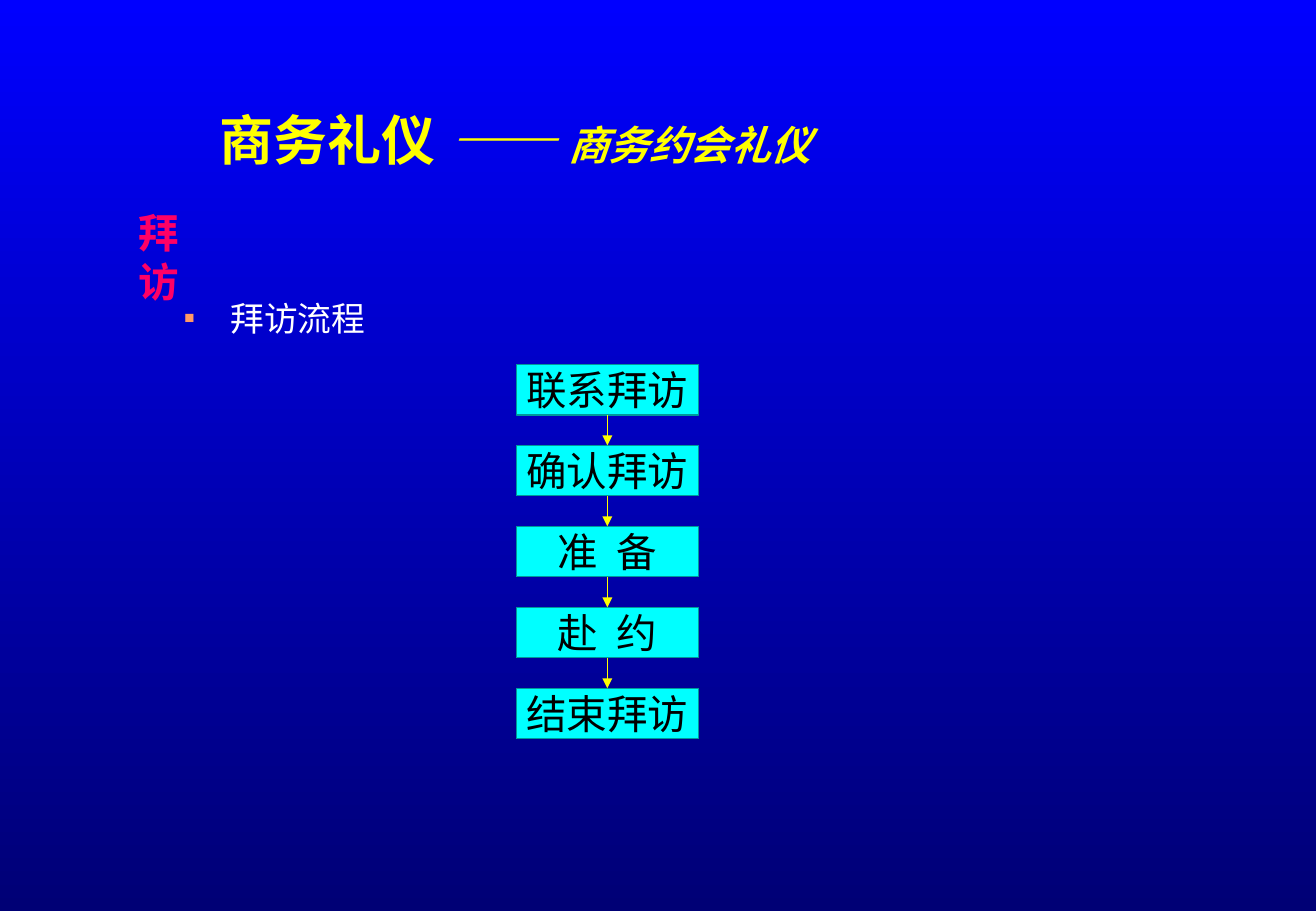
from dataclasses import dataclass

import lxml.etree
import pptx
import pptx.dml.color
import pptx.enum.dml
import pptx.enum.shapes
import pptx.enum.text
import pptx.oxml.ns
import pptx.util

COLUMNS, ROWS = 130, 90
SLIDE_WIDTH = pptx.util.Inches(10.84)
SLIDE_HEIGHT = pptx.util.Inches(7.5)
FONT = "Times New Roman"
YELLOW = "FFFF00"

STEPS = ["联系拜访", "确认拜访", "准  备", "赴  约", "结束拜访"]
STEP_PITCH = 8


@dataclass(frozen=True)
class Area:
    """A rectangle in grid columns and rows."""

    column: float
    row: float
    width: float
    height: float

    def lengths(self) -> tuple[int, int, int, int]:
        """Return left, top, width and height as slide lengths."""
        return (
            round(self.column * SLIDE_WIDTH / COLUMNS),
            round(self.row * SLIDE_HEIGHT / ROWS),
            round(self.width * SLIDE_WIDTH / COLUMNS),
            round(self.height * SLIDE_HEIGHT / ROWS),
        )


TITLE_AREA = Area(20.5, 9, 97.5, 11)
HEADING_AREA = Area(12.5, 20, 10.3, 6)
BODY_AREA = Area(17, 28, 111, 58)
FIRST_STEP_AREA = Area(51, 36, 18, 5)


def rgb(value: str) -> pptx.dml.color.RGBColor:
    return pptx.dml.color.RGBColor.from_string(value)


def add_text(paragraph, text: str, *, size: float, color: str,
             bold: bool = False, italic: bool = False) -> None:
    run = paragraph.add_run()
    run.text = text
    run.font.name = FONT
    run.font.size = pptx.util.Pt(size)
    run.font.color.rgb = rgb(color)
    run.font.bold = bold
    run.font.italic = italic


def add_xml(parent, tag: str, **attributes: str) -> None:
    lxml.etree.SubElement(parent, pptx.oxml.ns.qn(tag), attributes)


def place(shape, area: Area) -> None:
    shape.left, shape.top, shape.width, shape.height = area.lengths()


def paint_background(slide) -> None:
    fill = slide.background.fill
    fill.gradient()
    fill.gradient_angle = 270
    for stop, position, color in zip(fill.gradient_stops, (0, 1), ("0000FF", "000075")):
        stop.position = position
        stop.color.rgb = rgb(color)


def add_title(slide) -> None:
    title = slide.shapes.title
    place(title, TITLE_AREA)
    frame = title.text_frame
    frame.auto_size = pptx.enum.text.MSO_AUTO_SIZE.NONE
    frame.vertical_anchor = pptx.enum.text.MSO_ANCHOR.MIDDLE
    paragraph = frame.paragraphs[0]
    paragraph.alignment = pptx.enum.text.PP_ALIGN.LEFT
    paragraph.line_spacing = 0.7
    add_text(paragraph, "商务礼仪 ", size=32, color=YELLOW, bold=True)
    add_text(paragraph, "—— ", size=32, color=YELLOW, bold=True, italic=True)
    add_text(paragraph, "商务约会礼仪", size=24, color=YELLOW, bold=True, italic=True)


def add_body(slide) -> None:
    body = slide.placeholders[1]
    place(body, BODY_AREA)
    body.text_frame.auto_size = pptx.enum.text.MSO_AUTO_SIZE.NONE
    paragraph = body.text_frame.paragraphs[0]
    paragraph.alignment = pptx.enum.text.PP_ALIGN.JUSTIFY
    paragraph.line_spacing = 1.2
    paragraph.space_before = pptx.util.Pt(5)
    add_text(paragraph, "拜访流程", size=20, color="FFFFFF")

    properties = paragraph._p.get_or_add_pPr()
    indent = pptx.util.Inches(0.38)
    properties.set("marL", str(indent))
    properties.set("indent", str(-indent))
    add_xml(properties, "a:buClr")
    add_xml(properties[-1], "a:srgbClr", val="FF9966")
    add_xml(properties, "a:buSzPct", val="50000")
    add_xml(properties, "a:buFont", typeface=FONT)
    add_xml(properties, "a:buChar", char="■")


def add_heading(slide) -> None:
    frame = slide.shapes.add_textbox(*HEADING_AREA.lengths()).text_frame
    frame.word_wrap = False
    frame.auto_size = pptx.enum.text.MSO_AUTO_SIZE.SHAPE_TO_FIT_TEXT
    add_text(frame.paragraphs[0], "拜访", size=24, color="FF0066", bold=True)


def add_step(slide, text: str, area: Area):
    box = slide.shapes.add_shape(
        pptx.enum.shapes.MSO_SHAPE.RECTANGLE, *area.lengths())
    box.shadow.inherit = False
    box.fill.solid()
    box.fill.fore_color.rgb = rgb("00FFFF")
    box.line.color.rgb = rgb("009999")
    box.line.width = pptx.util.Pt(0.75)
    frame = box.text_frame
    frame.word_wrap = False
    frame.vertical_anchor = pptx.enum.text.MSO_ANCHOR.MIDDLE
    frame.paragraphs[0].alignment = pptx.enum.text.PP_ALIGN.CENTER
    add_text(frame.paragraphs[0], text, size=24, color="010000")
    return box


def add_arrow(slide, upper, lower) -> None:
    """Join the bottom of the upper box to the top of the lower one."""
    arrow = slide.shapes.add_connector(
        pptx.enum.shapes.MSO_CONNECTOR.STRAIGHT, 0, 0, 0, 0)
    arrow.begin_connect(upper, 2)
    arrow.end_connect(lower, 0)
    arrow.line.color.rgb = rgb(YELLOW)
    arrow.line.width = pptx.util.Pt(0.75)
    properties = arrow.element.spPr
    add_xml(properties.find(pptx.oxml.ns.qn("a:ln")), "a:tailEnd", type="triangle")
    add_xml(properties, "a:effectLst")


def add_visit_flow(slide) -> None:
    first = FIRST_STEP_AREA
    boxes = [
        add_step(slide, text, Area(first.column, first.row + index * STEP_PITCH,
                                   first.width, first.height))
        for index, text in enumerate(STEPS)
    ]
    for upper, lower in zip(boxes, boxes[1:]):
        add_arrow(slide, upper, lower)


def main() -> None:
    presentation = pptx.Presentation()
    presentation.slide_width = SLIDE_WIDTH
    presentation.slide_height = SLIDE_HEIGHT
    slide = presentation.slides.add_slide(presentation.slide_layouts[1])
    paint_background(slide)
    add_title(slide)
    add_body(slide)
    add_heading(slide)
    add_visit_flow(slide)
    presentation.save("out.pptx")


if __name__ == "__main__":
    main()
